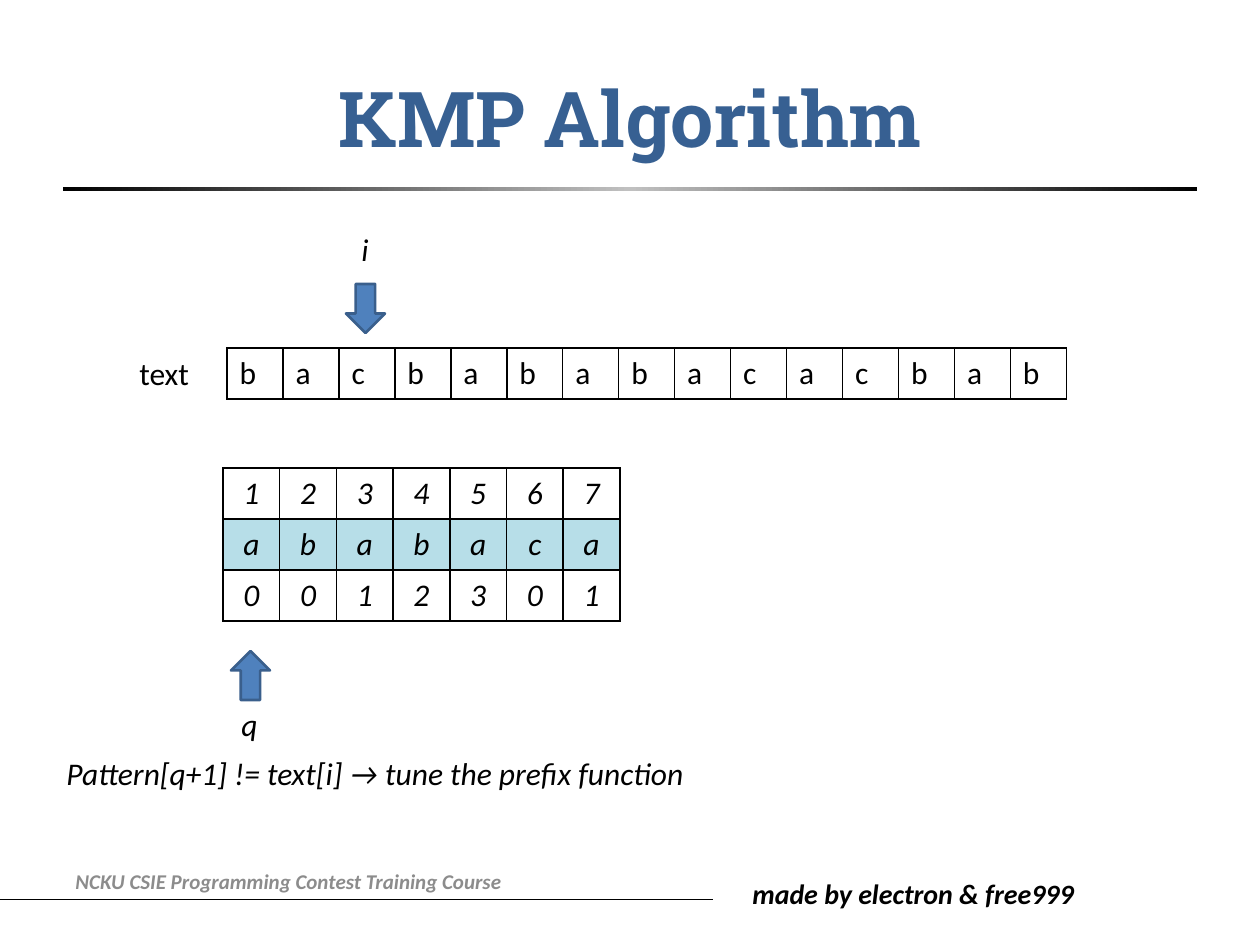
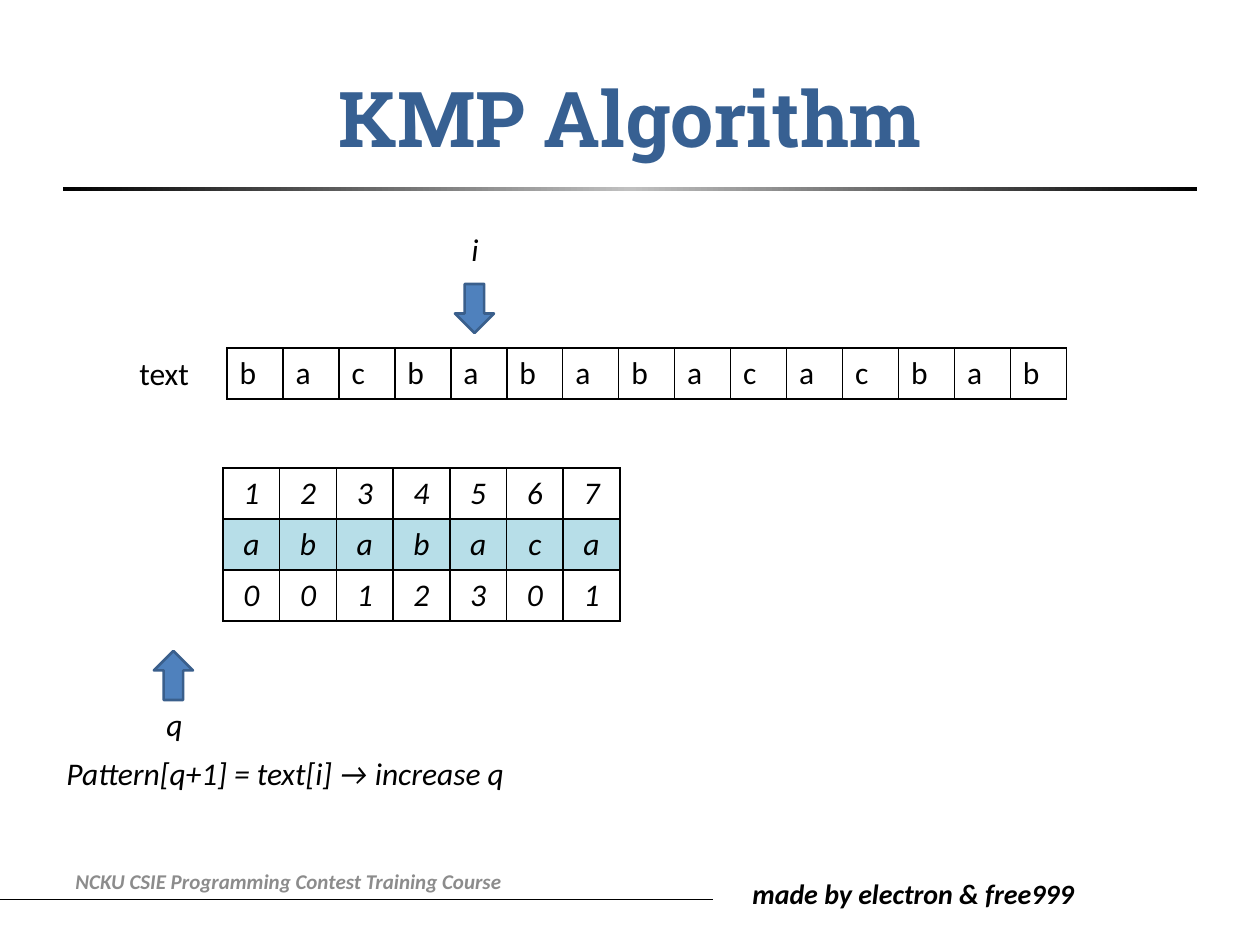
from copy import deepcopy
from pptx import Presentation
from pptx.util import Pt
from pptx.dml.color import RGBColor
from pptx.enum.shapes import MSO_SHAPE, MSO_CONNECTOR
from pptx.enum.text import PP_ALIGN, MSO_ANCHOR
from pptx.oxml import parse_xml
from pptx.oxml.ns import qn, nsdecls

INK, TITLE, GREY, SILVER = "000000", "376092", "8C8C8C", "C0C0C0"
BLUE, EDGE, PALE = "4F81BD", "3A5F8C", "B7DEE8"
BODY, HEAD = "Calibri", "Roboto Slab"
TEXT = ["bacbababacacbab"]
PREFIX = ["1234567", "ababaca", "0012301"]
STEPS = [
    {"i": (346, 349), "q": (231, 229), "wide": 714,
     "note": "Pattern[q+1] != text[i] → tune the prefix function"},
    {"i": (455, 459), "q": (154, 154), "wide": 507,
     "note": "Pattern[q+1] = text[i] → increase q"},
]
ROW = 51


def px(n):
    return round(n * 914400 / 126)


def box(*at):
    return [px(n) for n in at]


def rgb(code):
    return RGBColor.from_string(code)


def write(frame, text, size=18, color=INK, font=BODY, bold=False,
          slant=False, align=PP_ALIGN.LEFT):
    para = frame.paragraphs[0]
    para.alignment = align
    run = para.add_run()
    run.text = text
    face = run.font
    face.name, face.size = font, Pt(size)
    face.bold, face.italic = bold, slant
    face.color.rgb = rgb(color)


def label(slide, at, text, anchor=MSO_ANCHOR.TOP, **style):
    frame = slide.shapes.add_textbox(*box(*at)).text_frame
    frame.word_wrap = True
    frame.vertical_anchor = anchor
    write(frame, text, **style)


def border(cell):
    props = cell._tc.get_or_add_tcPr()
    for n, side in enumerate(("lnL", "lnR", "lnT", "lnB")):
        props.insert(n, parse_xml(
            f'<a:{side} {nsdecls("a")} w="{Pt(1)}"><a:solidFill>'
            f'<a:srgbClr val="{INK}"/></a:solidFill></a:{side}>'))


def grid(slide, left, top, width, rows, tint=None, **style):
    count = len(rows[0])
    table = slide.shapes.add_table(
        len(rows), count, *box(left, top, width, ROW * len(rows))).table
    table.first_row = table.horz_banding = False
    for col in table.columns:
        col.width = px(width / count)
    for r, row in enumerate(rows):
        table.rows[r].height = px(ROW)
        for c, mark in enumerate(row):
            cell = table.cell(r, c)
            if r == tint:
                cell.fill.solid()
                cell.fill.fore_color.rgb = rgb(PALE)
            else:
                cell.fill.background()
            border(cell)
            write(cell.text_frame, mark, **style)


def arrow(slide, kind, left, top):
    shape = slide.shapes.add_shape(kind, *box(left, top, 39, 49))
    shape.shadow.inherit = False
    shape.fill.solid()
    shape.fill.fore_color.rgb = rgb(BLUE)
    shape.line.color.rgb = rgb(EDGE)
    shape.line.width = Pt(1.5)


def rule(slide):
    bar = slide.shapes.add_shape(MSO_SHAPE.RECTANGLE, *box(63, 187, 1134, 4))
    bar.shadow.inherit = False
    bar.line.fill.background()
    bar.fill.gradient()
    bar.fill.gradient_angle = 0
    stops = bar._element.spPr.find(".//" + qn("a:gsLst"))
    stops.append(deepcopy(stops[0]))
    for stop, place, color in zip(bar.fill.gradient_stops, (0, 0.5, 1),
                                  (INK, SILVER, INK)):
        stop.position = place
        stop.color.rgb = rgb(color)


def frame(slide):
    line = slide.shapes.add_connector(
        MSO_CONNECTOR.STRAIGHT, *box(-74, 899, 713, 899))
    line.line.color.rgb = rgb(INK)
    line.line.width = Pt(0.5)
    line._element.spPr.append(parse_xml(f'<a:effectLst {nsdecls("a")}/>'))
    label(slide, (740, 870, 373, 47), "made by electron & free999",
          size=16, bold=True, slant=True)
    rule(slide)
    label(slide, (63, 38, 1134, 157), "KMP Algorithm", MSO_ANCHOR.MIDDLE,
          size=44, color=TITLE, font=HEAD, bold=True, align=PP_ALIGN.CENTER)
    label(slide, (63, 856, 636, 50),
          "NCKU CSIE Programming Contest Training Course", MSO_ANCHOR.MIDDLE,
          size=12, color=GREY, bold=True, slant=True)


deck = Presentation()
deck.slide_width, deck.slide_height = box(1260, 945)
for step in STEPS:
    slide = deck.slides.add_slide(deck.slide_layouts[6])
    frame(slide)
    grid(slide, 223, 468, 397, PREFIX, tint=1, slant=True,
         align=PP_ALIGN.CENTER)
    grid(slide, 227, 348, 840, TEXT)
    label(slide, (127, 348, 100, 50), "text")
    for name, kind, top, low in (("i", MSO_SHAPE.DOWN_ARROW, 284, 224),
                                 ("q", MSO_SHAPE.UP_ARROW, 651, 699)):
        left, near = step[name]
        arrow(slide, kind, left, top)
        label(slide, (near, low, 39, 50), name, slant=True)
    label(slide, (54, 748, step["wide"], 50), step["note"], slant=True)
deck.save("out.pptx")
